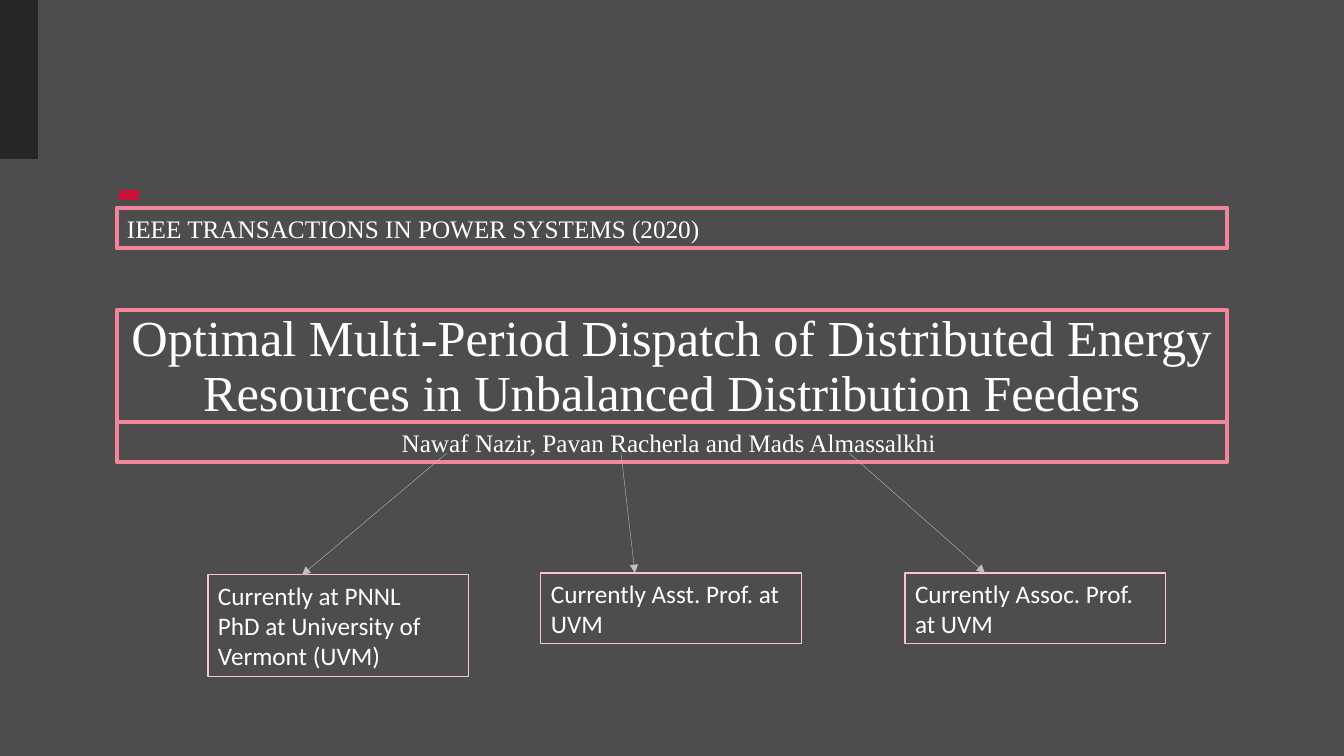
import pptx
import pptx.util
import pptx.dml.color
import pptx.enum.shapes
import pptx.enum.text
import pptx.oxml
import pptx.oxml.ns

EMU_PER_PIXEL = 914400 / 100.8
ALIGN = pptx.enum.text.PP_ALIGN
ANCHOR = pptx.enum.text.MSO_ANCHOR
SERIF = "Times New Roman"
ROSE = "F4869C"
PALE_ROSE = "FAC3CE"


def px(length):
    return pptx.util.Emu(round(length * EMU_PER_PIXEL))


def color(value):
    return pptx.dml.color.RGBColor.from_string(value)


def add_block(slide, box, fill):
    shape = slide.shapes.add_shape(
        pptx.enum.shapes.MSO_SHAPE.RECTANGLE, *map(px, box))
    shape.shadow.inherit = False
    shape.fill.solid()
    shape.fill.fore_color.rgb = color(fill)
    shape.line.fill.background()


def add_text(slide, box, text, font=SERIF, size=18, align=ALIGN.LEFT,
             anchor=ANCHOR.TOP, spacing=1.0, insets=(10, 5),
             line=ROSE, line_width=3):
    shape = slide.shapes.add_textbox(*map(px, box))
    shape.line.color.rgb = color(line)
    shape.line.width = pptx.util.Pt(line_width)
    frame = shape.text_frame
    frame.word_wrap = True
    frame.vertical_anchor = anchor
    frame.margin_left = frame.margin_right = px(insets[0])
    frame.margin_top = frame.margin_bottom = px(insets[1])
    paragraph = frame.paragraphs[0]
    paragraph.text = text
    paragraph.alignment = align
    paragraph.line_spacing = spacing
    for run in paragraph.runs:
        run.font.name = font
        run.font.size = pptx.util.Pt(size)
        run.font.color.rgb = color("FFFFFF")


def add_arrow(slide, start, end):
    connector = slide.shapes.add_connector(
        pptx.enum.shapes.MSO_CONNECTOR.STRAIGHT, *map(px, start + end))
    connector.line.color.rgb = color("BFBFBF")
    connector.line.width = pptx.util.Pt(0.25)
    line = connector.line._get_or_add_ln()
    tail = pptx.oxml.parse_xml(
        f'<a:tailEnd {pptx.oxml.ns.nsdecls("a")} type="triangle"/>')
    line.append(tail)
    effects = pptx.oxml.parse_xml(
        f'<a:effectLst {pptx.oxml.ns.nsdecls("a")}/>')
    line.addnext(effects)


def add_decoration(slide, left, top):
    add_block(slide, (left, top, 38, 159), "262626")
    add_block(slide, (left + 119, top + 190, 20, 10), "CA1237")


def add_heading(slide, left, top, width):
    band_height, title_height = 40, 112
    title_top = top + 102
    add_text(slide, (left, title_top, width, title_height),
             "Optimal Multi-Period Dispatch of Distributed Energy "
             "Resources in Unbalanced Distribution Feeders",
             size=36, align=ALIGN.CENTER, anchor=ANCHOR.BOTTOM,
             spacing=0.9, insets=(0, 0))
    add_text(slide, (left, title_top + title_height, width, band_height),
             "Nawaf Nazir, Pavan Racherla and Mads Almassalkhi ",
             align=ALIGN.CENTER)
    add_text(slide, (left, top, width, band_height),
             "IEEE TRANSACTIONS IN POWER SYSTEMS (2020)")


def add_author_note(slide, left, top, height, text, name_x, tip_x):
    add_text(slide, (left, top, 261, height), text, font="Calibri",
             line=PALE_ROSE, line_width=0.75)
    add_arrow(slide, (name_x, 453), (tip_x, top))


def main():
    presentation = pptx.Presentation()
    presentation.slide_width = px(1344)
    presentation.slide_height = px(756)
    slide = presentation.slides.add_slide(presentation.slide_layouts[6])
    slide.background.fill.solid()
    slide.background.fill.fore_color.rgb = color("4D4D4D")

    add_decoration(slide, 0, 0)
    add_heading(slide, 117, 208, 1110)
    author_notes = [
        (208, 575, 102,
         "Currently at PNNL\nPhD at University of Vermont (UVM)", 447, 302),
        (541, 573, 71, "Currently Asst. Prof. at UVM", 621, 635),
        (905, 573, 71, "Currently Assoc. Prof. at UVM", 849, 985),
    ]
    for note in author_notes:
        add_author_note(slide, *note)
    presentation.save("out.pptx")


if __name__ == "__main__":
    main()
